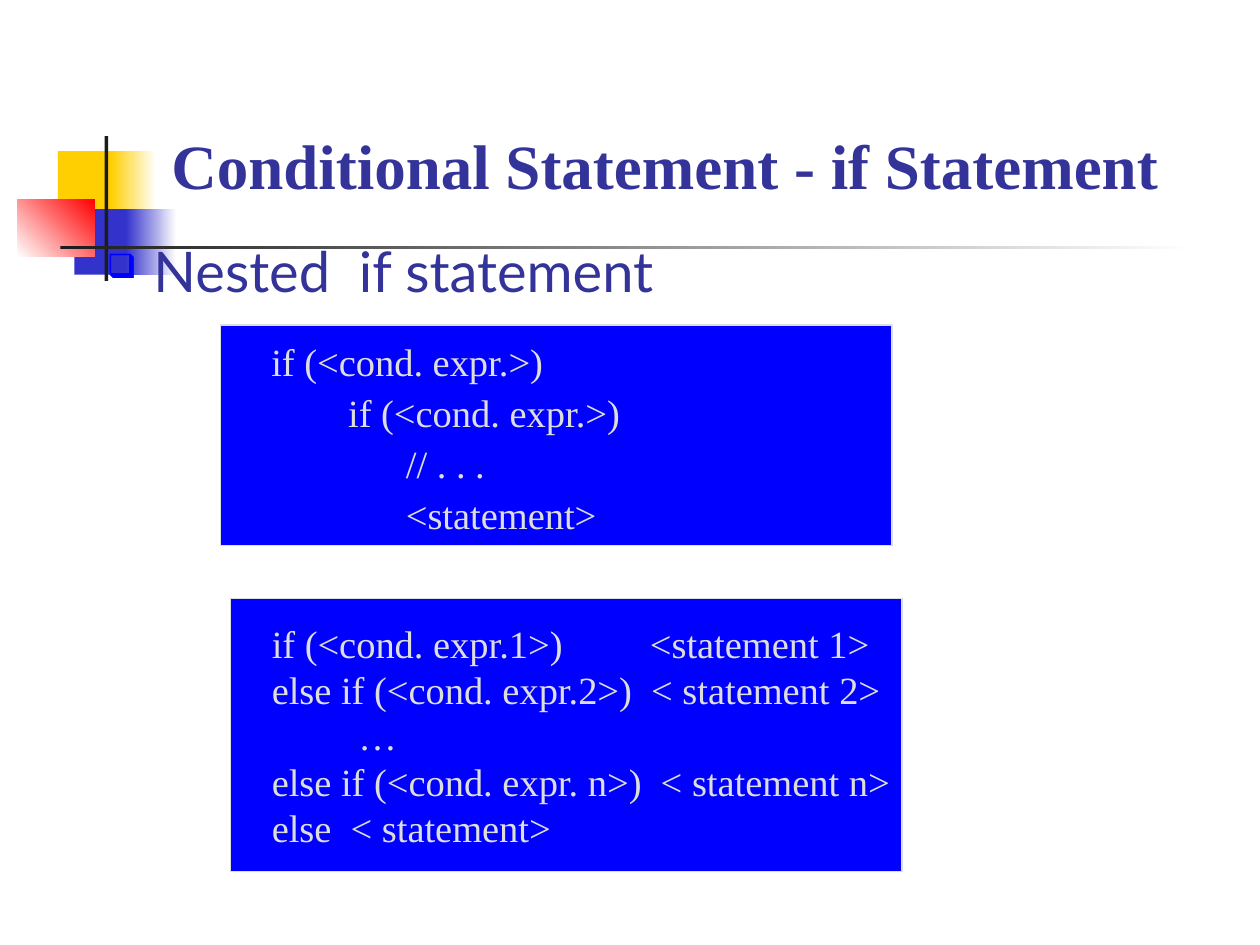
import dataclasses

import lxml.etree
import pptx
import pptx.dml.color
import pptx.enum.shapes
import pptx.enum.text
import pptx.oxml.ns
import pptx.util

Inches = pptx.util.Inches
Pt = pptx.util.Pt
Anchor = pptx.enum.text.MSO_ANCHOR
LEFT = pptx.enum.text.PP_ALIGN.LEFT


@dataclasses.dataclass(frozen=True)
class Theme:
    heading: str = "333399"
    box: str = "0000FF"
    code: str = "DDDDDD"
    yellow: str = "FFCF01"
    blue: str = "3333CC"
    red: str = "FF0000"
    bar: str = "1C1C1C"
    white: str = "FFFFFF"
    serif: str = "Times New Roman"
    sans: str = "Lato"
    title_size: int = 36
    body_size: int = 32
    code_size: int = 22


def rgb(value):
    return pptx.dml.color.RGBColor.from_string(value)


class SlideBuilder:
    def __init__(self, slide, theme):
        self.slide = slide
        self.theme = theme

    def add_text(self, paragraph, text, font_name, size, color, bold=False):
        paragraph.alignment = LEFT
        run = paragraph.add_run()
        run.text = text
        run.font.name = font_name
        run.font.size = Pt(size)
        run.font.color.rgb = rgb(color)
        run.font.bold = bold

    def title(self, text, left, top, width, height):
        heading = self.slide.shapes.title
        heading.left, heading.top = Inches(left), Inches(top)
        heading.width, heading.height = Inches(width), Inches(height)
        frame = heading.text_frame
        frame.vertical_anchor = Anchor.MIDDLE
        frame.auto_size = pptx.enum.text.MSO_AUTO_SIZE.NONE
        theme = self.theme
        self.add_text(frame.paragraphs[0], text, theme.serif, theme.title_size,
                      theme.heading, bold=True)

    def block(self, left, top, width, height, color, fade_to=None, angle=0):
        """Rectangle without outline, solid or fading to a second colour."""
        block = self.slide.shapes.add_shape(
            pptx.enum.shapes.MSO_SHAPE.RECTANGLE,
            Inches(left), Inches(top), Inches(width), Inches(height))
        block.shadow.inherit = False
        block.line.fill.background()
        if fade_to is None:
            block.fill.solid()
            block.fill.fore_color.rgb = rgb(color)
        else:
            block.fill.gradient()
            block.fill.gradient_angle = angle
            for stop, shade in zip(block.fill.gradient_stops, (color, fade_to)):
                stop.color.rgb = rgb(shade)
        return block

    def bullet(self, text, left, top, width, height, indent):
        topic = self.slide.shapes.add_textbox(
            Inches(left), Inches(top), Inches(width), Inches(height))
        topic.text_frame.word_wrap = True
        paragraph = topic.text_frame.paragraphs[0]
        theme = self.theme
        properties = paragraph._p.get_or_add_pPr()
        properties.set("marL", str(Inches(indent)))
        properties.set("indent", str(-Inches(indent)))
        qn = pptx.oxml.ns.qn
        bullet_color = lxml.etree.SubElement(properties, qn("a:buClr"))
        lxml.etree.SubElement(bullet_color, qn("a:srgbClr"), val=theme.box)
        lxml.etree.SubElement(properties, qn("a:buSzPct"), val="60000")
        lxml.etree.SubElement(properties, qn("a:buChar"), char="❑")
        self.add_text(paragraph, text, theme.sans, theme.body_size, theme.heading)

    def code_box(self, lines, left, top, width, height, spacing=1.0, tab=None):
        theme = self.theme
        box = self.block(left, top, width, height, theme.box)
        box.line.color.rgb = rgb(theme.code)
        box.line.width = Pt(0.75)
        frame = box.text_frame
        frame.word_wrap = False
        frame.vertical_anchor = Anchor.MIDDLE
        qn = pptx.oxml.ns.qn
        for number, line in enumerate(lines):
            paragraph = frame.add_paragraph() if number else frame.paragraphs[0]
            paragraph.line_spacing = spacing
            if tab and "\t" in line:
                stops = lxml.etree.SubElement(
                    paragraph._p.get_or_add_pPr(), qn("a:tabLst"))
                lxml.etree.SubElement(stops, qn("a:tab"),
                                      pos=str(Inches(tab)), algn="l")
            self.add_text(paragraph, line, theme.serif, theme.code_size, theme.code)


def main():
    deck = pptx.Presentation()
    deck.slide_width, deck.slide_height = Inches(10), Inches(7.5)
    theme = Theme()
    page = SlideBuilder(deck.slides.add_slide(deck.slide_layouts[5]), theme)

    # Corner ornament: coloured squares with two crossing bars
    page.block(0.46, 1.2, 0.48, 0.52, theme.yellow)
    page.block(0.88, 1.2, 0.36, 0.52, theme.yellow, theme.white)
    page.block(0.59, 1.66, 0.46, 0.52, theme.blue)
    page.block(1, 1.66, 0.4, 0.52, theme.blue, theme.white)
    page.block(0.14, 1.58, 0.61, 0.46, theme.white, theme.red, angle=45)
    page.block(0.83, 1.08, 0.03, 1.15, theme.bar)
    page.block(0.48, 1.95, 9, 0.03, theme.bar, theme.white)

    # Title and topic
    page.title("Conditional Statement - if Statement", 1.26, 0.94, 8.52, 0.73)
    page.bullet("Nested  if statement", 0.75, 1.83, 8.67, 4.67, indent=0.37)

    # Nested form
    page.code_box([
        "    if (<cond. expr.>)",
        "            if (<cond. expr.>)",
        "                  // . . .",
        "                  <statement>",
    ], 1.75, 2.58, 5.33, 1.75, spacing=1.1)

    # Chained form
    page.code_box([
        "   if (<cond. expr.1>)\t<statement 1>",
        "   else if (<cond. expr.2>)  < statement 2>",
        "            …",
        "   else if (<cond. expr. n>)  < statement n>",
        "   else  < statement>",
    ], 1.83, 4.75, 5.33, 2.17, tab=3.23)

    deck.save("out.pptx")


if __name__ == "__main__":
    main()
